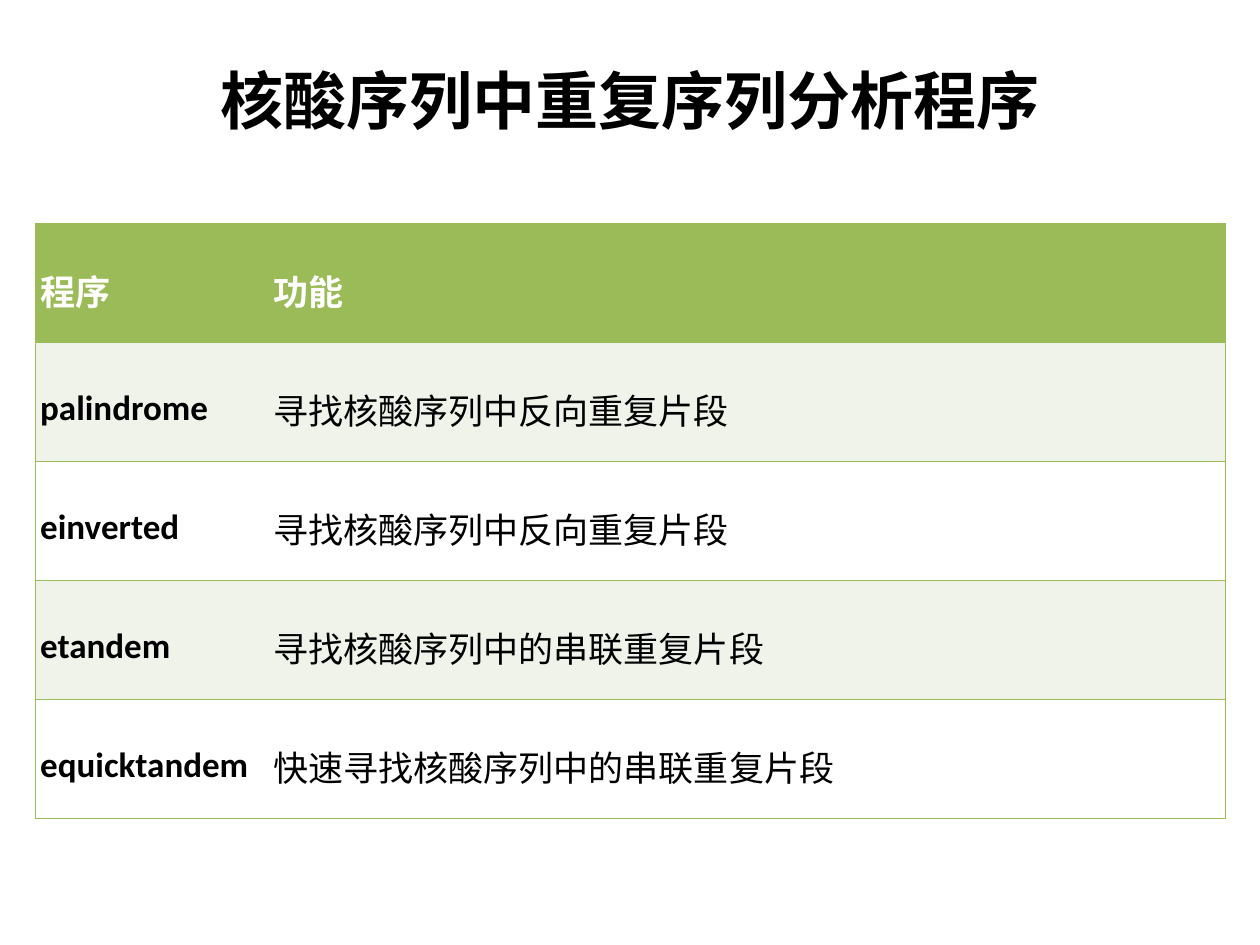
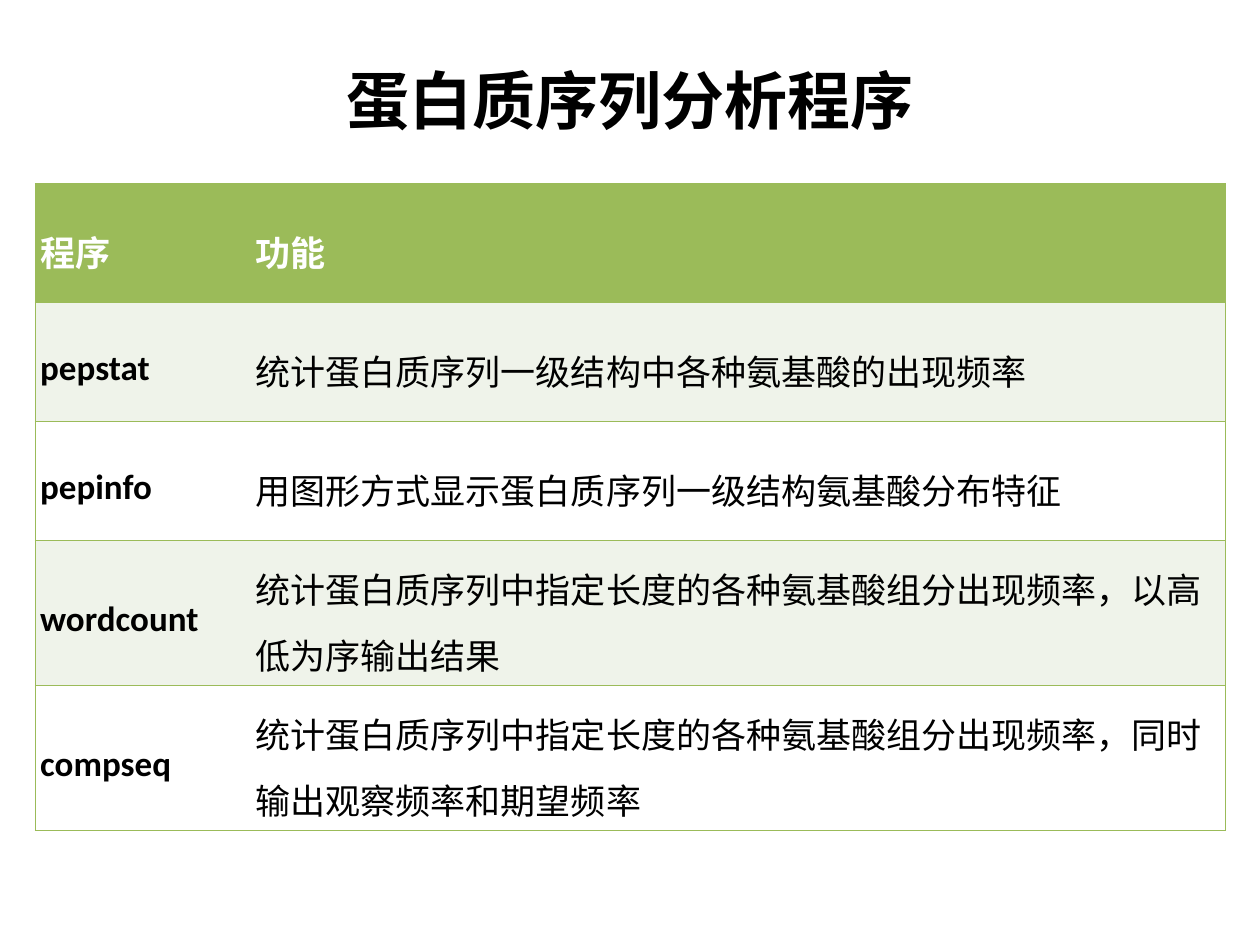
from dataclasses import dataclass

from lxml.etree import SubElement
from pptx import Presentation
from pptx.dml.color import RGBColor as RGB
from pptx.enum.text import MSO_ANCHOR as Anchor, MSO_AUTO_SIZE as AutoSize, PP_ALIGN as Align
from pptx.oxml.ns import qn
from pptx.util import Cm, Pt


@dataclass(frozen=True)
class Theme:
    font: str = "Calibri"
    ink: str = "000000"
    paper: str = "FFFFFF"
    green: str = "9BBB59"
    band: str = "EFF3EA"
    title_size: int = 36
    table_size: int = 20
    border: float = 0.45
    line_spacing: float = 1.3
    left: float = 0.71
    width: float = 24
    row_height: float = 2.4
    plain_table: str = "{2D5ABB26-0587-4C30-8999-92F81FD0307C}"


class Deck:
    """Holds the style and the current slide."""

    def __init__(self, theme):
        self.theme = theme
        self.prs = Presentation()
        self.prs.slide_width, self.prs.slide_height = Cm(25.4), Cm(19.05)
        self.slide = None

    def apply(self, target, formats):
        for name, value in formats.items():
            setattr(target, name, value)

    def style_text(self, paragraph, size, color, bold):
        self.apply(paragraph.font, {"name": self.theme.font, "size": Pt(size), "bold": bold})
        paragraph.font.color.rgb = RGB.from_string(color)

    def new_slide(self, heading):
        self.slide = self.prs.slides.add_slide(self.prs.slide_layouts[5])
        title = self.slide.shapes.title
        self.apply(title, {"left": Cm(self.theme.left), "top": Cm(1),
                           "width": Cm(self.theme.width), "height": Cm(2)})
        self.apply(title.text_frame, {
            "text": heading, "word_wrap": True, "auto_size": AutoSize.NONE,
            "vertical_anchor": Anchor.MIDDLE,
            "margin_left": Cm(0.36), "margin_right": Cm(0.36),
            "margin_top": Cm(0.2), "margin_bottom": Cm(0.2)})
        paragraph = title.text_frame.paragraphs[0]
        paragraph.alignment = Align.CENTER
        self.style_text(paragraph, self.theme.title_size, self.theme.ink, True)

    def border(self, cell, sides):
        properties = cell._tc.get_or_add_tcPr()
        for side in sides:
            line = SubElement(properties, qn(f"a:ln{side}"), w=str(Pt(self.theme.border)))
            fill = SubElement(line, qn("a:solidFill"))
            SubElement(fill, qn("a:srgbClr"), val=self.theme.green)

    def fill_cell(self, cell, text, fill, color, bold, sides):
        self.apply(cell, {
            "text": text, "vertical_anchor": Anchor.MIDDLE,
            "margin_left": Cm(0.1), "margin_right": Cm(0.1),
            "margin_top": Cm(0.13), "margin_bottom": Cm(0.13)})
        paragraph = cell.text_frame.paragraphs[0]
        paragraph.line_spacing = self.theme.line_spacing
        self.style_text(paragraph, self.theme.table_size, color, bold)
        # Borders must come before the fill in the cell properties
        self.border(cell, sides)
        cell.fill.solid()
        cell.fill.fore_color.rgb = RGB.from_string(fill)

    def program_table(self, top, name_width, programs):
        theme = self.theme
        rows = [("程序", "功能"), *programs]
        table = self.slide.shapes.add_table(
            len(rows), 2, Cm(theme.left), Cm(top),
            Cm(theme.width), Cm(theme.row_height * len(rows))).table
        table.horz_banding = False
        table._tbl.tblPr.find(qn("a:tableStyleId")).text = theme.plain_table
        for column, width in zip(table.columns, (name_width, theme.width - name_width)):
            column.width = Cm(width)
        for r, row in enumerate(rows):
            table.rows[r].height = Cm(theme.row_height)
            header = r == 0
            fill = theme.green if header else theme.band if r % 2 else theme.paper
            color = theme.paper if header else theme.ink
            for c, text in enumerate(row):
                self.fill_cell(table.cell(r, c), text, fill, color,
                               bold=header or c == 0, sides=("LTB", "RTB")[c])


def main():
    deck = Deck(Theme())

    # Repeats in nucleic acid sequences
    deck.new_slide("核酸序列中重复序列分析程序")
    deck.program_table(4.5, 4.7, [
        ("palindrome", "寻找核酸序列中反向重复片段"),
        ("einverted", "寻找核酸序列中反向重复片段"),
        ("etandem", "寻找核酸序列中的串联重复片段"),
        ("equicktandem", "快速寻找核酸序列中的串联重复片段"),
    ])

    # Protein sequences
    deck.new_slide("蛋白质序列分析程序")
    deck.program_table(3.7, 4.34, [
        ("pepstat", "统计蛋白质序列一级结构中各种氨基酸的出现频率"),
        ("pepinfo", "用图形方式显示蛋白质序列一级结构氨基酸分布特征"),
        ("wordcount", "统计蛋白质序列中指定长度的各种氨基酸组分出现频率，以高低为序输出结果"),
        ("compseq", "统计蛋白质序列中指定长度的各种氨基酸组分出现频率，同时输出观察频率和期望频率"),
    ])

    deck.prs.save("out.pptx")


if __name__ == "__main__":
    main()
